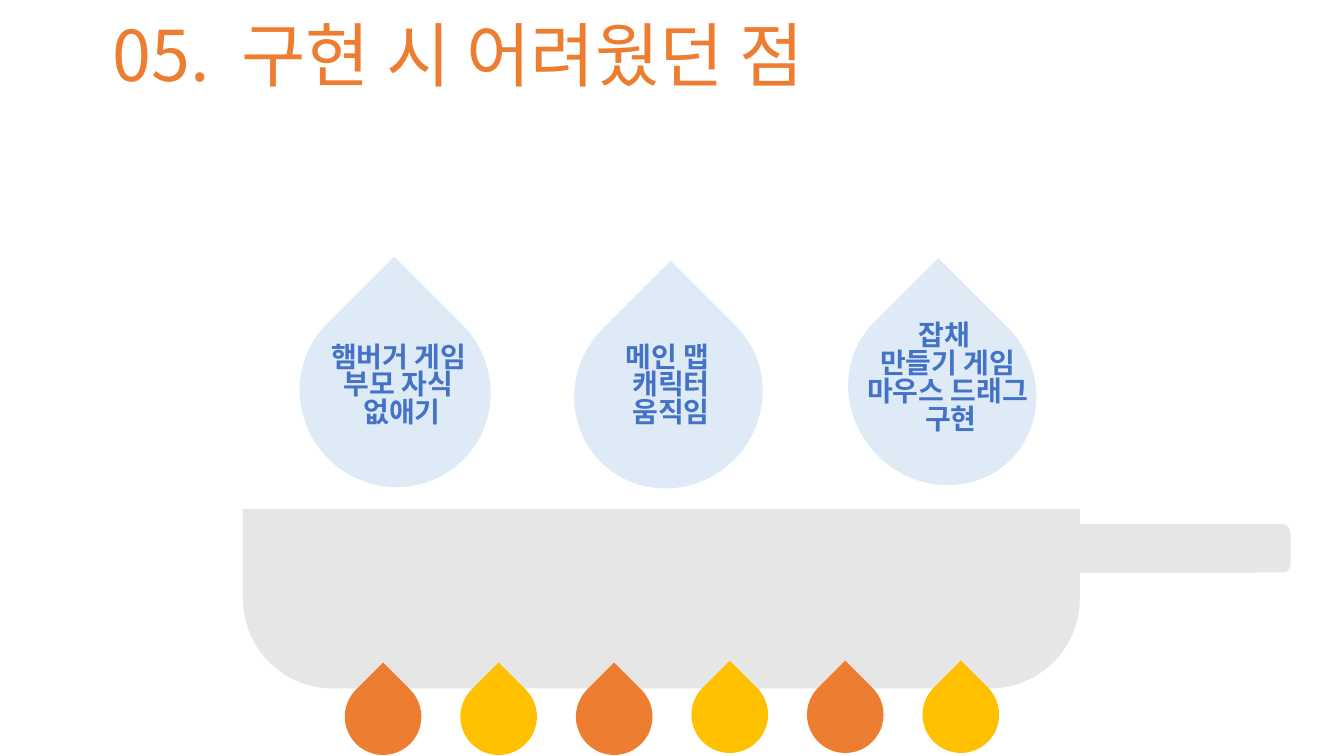
from pptx import Presentation
from pptx.dml.color import RGBColor
from pptx.enum.shapes import MSO_SHAPE as Preset
from pptx.enum.text import MSO_ANCHOR, MSO_AUTO_SIZE, PP_ALIGN
from pptx.oxml.ns import qn
from pptx.util import Inches, Pt
from lxml import etree

FONT = "Noto Sans CJK KR"
ORANGE = RGBColor(0xED, 0x7D, 0x31)
YELLOW = RGBColor(0xFF, 0xC0, 0x00)
BLUE = RGBColor(0x44, 0x72, 0xC4)
PALE_BLUE = RGBColor(0xDE, 0xEB, 0xF7)
GRAY = RGBColor(0xE7, 0xE6, 0xE6)

# Each drop: its box, its text box, whether the text wraps, its lines
DROPS = [
    ((2.98, 2.93, 1.88, 1.91), (3.05, 3.35, 1.81, 1.1), True,
     ["햄버거 게임", "부모 자식", " 없애기"]),
    ((5.68, 2.99, 1.9, 1.84), (6.07, 3.35, 1.17, 1.1), False,
     ["메인 맵 ", "캐릭터", "움직임"]),
    ((8.44, 2.92, 1.81, 1.92), (8.37, 3.14, 2.06, 1.43), True,
     ["잡채 ", "만들기 게임", "마우스 드래그", " 구현"]),
]

FLAME_COUNT = 6
FLAME_SIZE = 0.76
FIRST_FLAME, LAST_FLAME = 3.42, 9.15


def format_run(run, size, color, bold=False):
    run.font.name = FONT
    run.font.size = Pt(size)
    run.font.bold = bold
    run.font.color.rgb = color
    east_asian = etree.SubElement(run._r.get_or_add_rPr(), qn("a:ea"))
    east_asian.set("typeface", FONT)


def add_title(slide):
    title = slide.shapes.title
    title.left, title.top = Inches(1.02), Inches(0.16)
    title.width, title.height = Inches(8.24), Inches(0.93)
    frame = title.text_frame
    frame.word_wrap = True
    frame.auto_size = MSO_AUTO_SIZE.NONE
    frame.vertical_anchor = MSO_ANCHOR.TOP
    paragraph = frame.paragraphs[0]
    paragraph.alignment = PP_ALIGN.LEFT
    paragraph.line_spacing = 0.9
    for text in ("05.", " ", "구현 시 어려웠던 점"):
        run = paragraph.add_run()
        run.text = text
        format_run(run, 50, ORANGE)
    # Widen the gap after the number
    paragraph.runs[1]._r.get_or_add_rPr().set("spc", "1120")


def add_filled(shapes, preset, box, color, corners=(), rotation=0):
    shape = shapes.add_shape(preset, *map(Inches, box))
    shape.shadow.inherit = False
    shape.fill.solid()
    shape.fill.fore_color.rgb = color
    shape.line.fill.background()
    shape.rotation = rotation
    for index, value in enumerate(corners):
        shape.adjustments[index] = value
    return shape


def add_drop(shapes, box, color):
    return add_filled(shapes, Preset.TEAR, box, color, [1], 315)


def add_label(slide, box, wraps, lines):
    label = slide.shapes.add_textbox(*map(Inches, box))
    frame = label.text_frame
    frame.word_wrap = wraps
    frame.margin_top = Inches(0.07)
    frame.text = "\n".join(lines)
    for paragraph in frame.paragraphs:
        paragraph.alignment = PP_ALIGN.CENTER
        paragraph.line_spacing = 0.83
        format_run(paragraph.runs[0], 20, BLUE, bold=True)


def add_pan(slide):
    pan = slide.shapes.add_group_shape()
    body = add_filled(pan.shapes, Preset.ROUND_2_SAME_RECTANGLE,
                      (2.41, 5.05, 8.3, 1.78), GRAY, [0.5, 0])
    body._element.spPr.xfrm.set("flipV", "1")
    add_filled(pan.shapes, Preset.ROUNDED_RECTANGLE,
               (9.75, 5.2, 3.05, 0.48), GRAY, [0.17])


def add_flames(slide):
    flames = slide.shapes.add_group_shape()
    pitch = (LAST_FLAME - FIRST_FLAME) / (FLAME_COUNT - 1)
    for index in range(FLAME_COUNT):
        top = 6.73 if index < FLAME_COUNT // 2 else 6.71
        box = (FIRST_FLAME + index * pitch, top, FLAME_SIZE, FLAME_SIZE)
        add_drop(flames.shapes, box, YELLOW if index % 2 else ORANGE)


def main():
    presentation = Presentation()
    presentation.slide_width = Inches(13.33)
    presentation.slide_height = Inches(7.5)
    slide = presentation.slides.add_slide(presentation.slide_layouts[5])

    add_title(slide)
    add_pan(slide)
    # Water drops first, then their labels
    for drop_box, _, _, _ in DROPS:
        add_drop(slide.shapes, drop_box, PALE_BLUE)
    for _, label_box, wraps, lines in DROPS:
        add_label(slide, label_box, wraps, lines)
    add_flames(slide)

    presentation.save("out.pptx")


if __name__ == "__main__":
    main()
